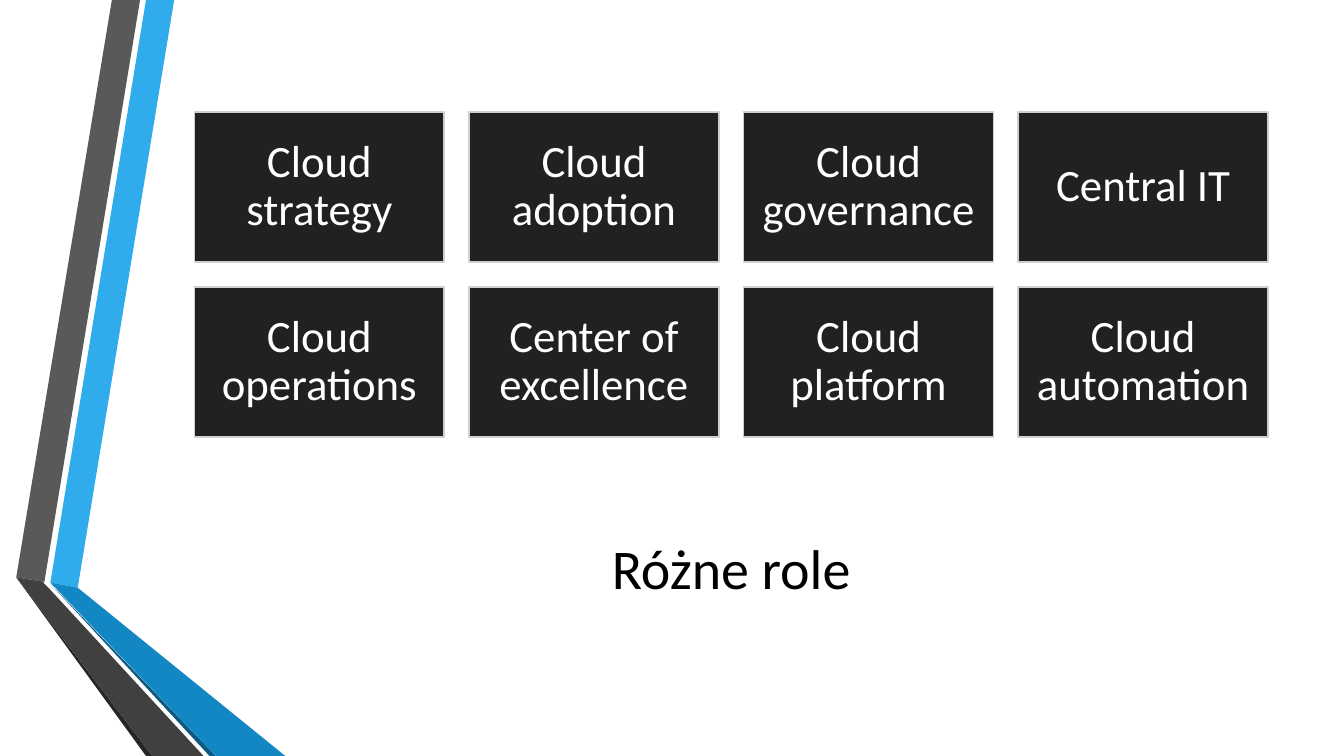
from pptx import Presentation
from pptx.dml.color import RGBColor
from pptx.enum.shapes import MSO_SHAPE
from pptx.enum.text import MSO_ANCHOR, PP_ALIGN
from pptx.util import Cm, Pt

BLACK = RGBColor(0x00, 0x00, 0x00)
WHITE = RGBColor(0xFF, 0xFF, 0xFF)
CHARCOAL = RGBColor(0x21, 0x21, 0x21)
SILVER = RGBColor(0xCD, 0xD0, 0xD1)
SKY = RGBColor(0x30, 0xAC, 0xEC)
BLUE = RGBColor(0x12, 0x87, 0xC3)
NAVY = RGBColor(0x0C, 0x5A, 0x82)
GREY = RGBColor(0x59, 0x59, 0x59)
DARK_GREY = RGBColor(0x40, 0x40, 0x40)
SHADE = RGBColor(0x26, 0x26, 0x26)

SLIDE_WIDTH, SLIDE_HEIGHT = 33.87, 19.05
LEFT, TOP = 4.9, 2.82
BOX_WIDTH, BOX_HEIGHT = 6.3, 3.78
COLUMN_STEP, ROW_STEP = 6.92, 4.41

RIBBONS = [
    (SKY, [(1.27, 14.68), (1.96, 14.81), (4.39, 0), (3.68, 0)]),
    (GREY, [(3.53, 0), (2.82, 0), (0.41, 14.55), (1.12, 14.66)]),
    (SHADE, [(0.41, 14.55), (3.68, SLIDE_HEIGHT), (3.84, SLIDE_HEIGHT)]),
    (NAVY, [(1.27, 14.71), (5.28, SLIDE_HEIGHT), (5.44, SLIDE_HEIGHT)]),
    (BLUE, [(1.27, 14.68), (5.44, SLIDE_HEIGHT), (7.19, SLIDE_HEIGHT), (1.96, 14.81)]),
    (DARK_GREY, [(5.13, SLIDE_HEIGHT), (1.22, 14.81), (1.09, 14.68),
                 (1.12, 14.66), (0.41, 14.55), (3.84, SLIDE_HEIGHT)]),
]

ROLES = [
    ["Cloud strategy", "Cloud adoption", "Cloud governance", "Central IT"],
    ["Cloud operations", "Center of excellence", "Cloud platform", "Cloud automation"],
]


class RoleSlide:
    font_name = "Calibri"

    def __init__(self, deck):
        self.slide = deck.slides.add_slide(deck.slide_layouts[5])
        self.shapes = self.slide.shapes

    def centred_text(self, shape, text, size, color):
        frame = shape.text_frame
        frame.text = text
        frame.word_wrap = True
        frame.vertical_anchor = MSO_ANCHOR.MIDDLE
        para = frame.paragraphs[0]
        para.alignment = PP_ALIGN.CENTER
        para.font.name = self.font_name
        para.font.size = Pt(size)
        para.font.color.rgb = color
        return frame

    def ribbon(self, color, points):
        corners = [(Cm(x), Cm(y)) for x, y in points]
        builder = self.shapes.build_freeform(*corners[0])
        builder.add_line_segments(corners[1:], close=True)
        shape = builder.convert_to_shape()
        shape.shadow.inherit = False
        shape.fill.solid()
        shape.fill.fore_color.rgb = color
        shape.line.fill.background()

    def title(self, text, left, top, width, height):
        title = self.shapes.title
        title.left, title.top = Cm(left), Cm(top)
        title.width, title.height = Cm(width), Cm(height)
        self.centred_text(title, text, 40, BLACK)

    def role_box(self, text, left, top):
        box = self.shapes.add_shape(MSO_SHAPE.RECTANGLE, Cm(left), Cm(top),
                                    Cm(BOX_WIDTH), Cm(BOX_HEIGHT))
        box.shadow.inherit = False
        box.fill.solid()
        box.fill.fore_color.rgb = CHARCOAL
        box.line.color.rgb = SILVER
        box.line.width = Pt(1.25)
        frame = self.centred_text(box, text, 32, WHITE)
        frame.margin_left = frame.margin_right = Cm(0.33)
        frame.margin_top = frame.margin_bottom = Cm(0.33)
        frame.paragraphs[0].line_spacing = 0.9


def main():
    deck = Presentation()
    deck.slide_width, deck.slide_height = Cm(SLIDE_WIDTH), Cm(SLIDE_HEIGHT)
    page = RoleSlide(deck)
    for color, points in RIBBONS:
        page.ribbon(color, points)
    page.title("Różne role", LEFT, 12.37, 27.05, 3.84)
    for row, names in enumerate(ROLES):
        for column, name in enumerate(names):
            page.role_box(name, LEFT + column * COLUMN_STEP, TOP + row * ROW_STEP)
    deck.save("out.pptx")


if __name__ == "__main__":
    main()
